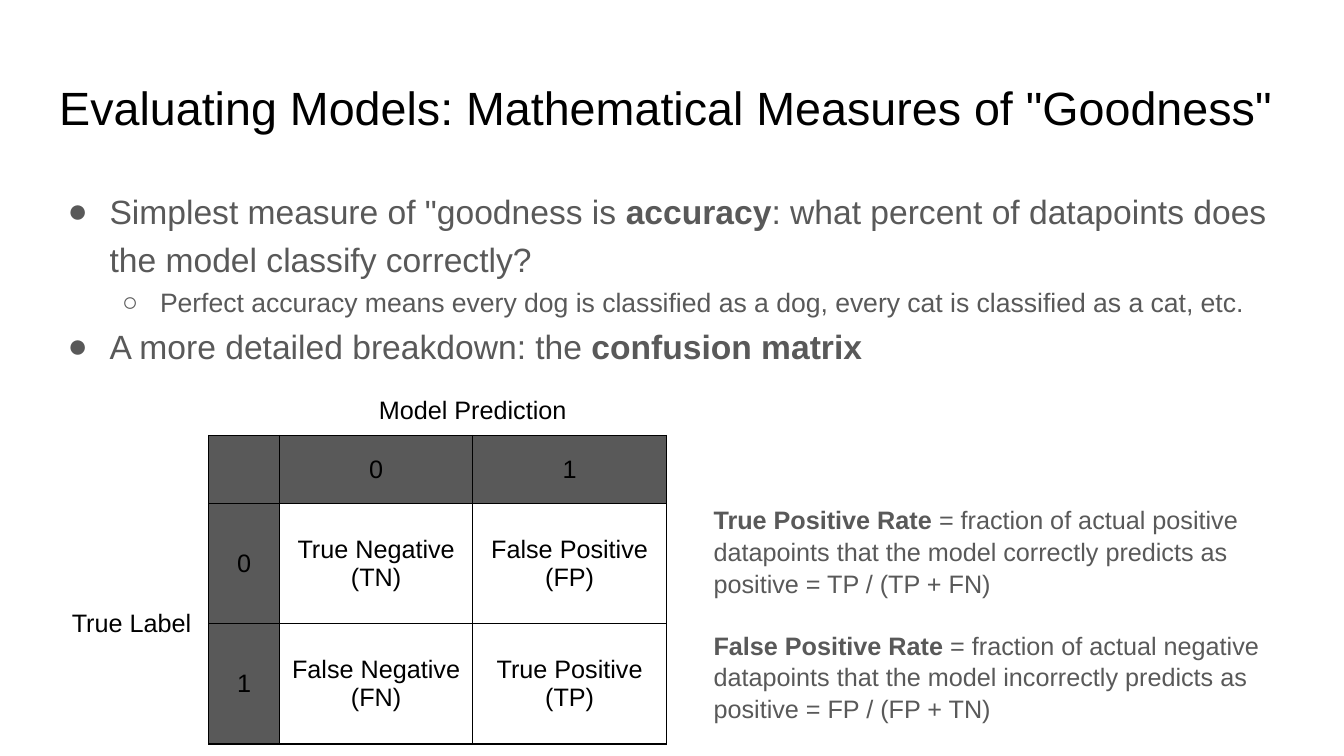
import pptx
import pptx.util
import pptx.dml.color
import pptx.enum.text
import pptx.oxml
import pptx.oxml.ns

Pt = pptx.util.Pt
RGBColor = pptx.dml.color.RGBColor
CENTER = pptx.enum.text.PP_ALIGN.CENTER
MIDDLE = pptx.enum.text.MSO_ANCHOR.MIDDLE
TOP = pptx.enum.text.MSO_ANCHOR.TOP

BLACK = RGBColor(0x00, 0x00, 0x00)
GRAY = RGBColor(0x59, 0x59, 0x59)
FONT = "Arial"

# Runs are (text, bold) pairs
TITLE = [("Evaluating Models: Mathematical Measures of \"Goodness\"", False)]
POINTS = [
    (0, [("Simplest measure of \"goodness is ", False), ("accuracy", True),
         (": what percent of datapoints does the model classify correctly?", False)]),
    (1, [("Perfect accuracy means every dog is classified as a dog, "
          "every cat is classified as a cat, etc.", False)]),
    (0, [("A more detailed breakdown: the ", False), ("confusion matrix", True)]),
]
LEVELS = [  # bullet, size, left margin, hanging indent
    ("●", 24, 36, 30),
    ("○", 19, 72, 27),
]
MATRIX = [
    ["", "0", "1"],
    ["0", "True Negative (TN)", "False Positive (FP)"],
    ["1", "False Negative (FN)", "True Positive (TP)"],
]
COLUMN_WIDTHS = [50.4, 138.2, 138.2]
ROW_HEIGHTS = [48.5, 86, 86]
AXIS_LABELS = [
    ("Model Prediction", (229.7, 278, 216, 29)),
    ("True Label", (42.5, 430, 103, 29)),
]
RATES = [
    [("True Positive Rate", True),
     (" = fraction of actual positive datapoints that the model correctly "
      "predicts as positive = TP / (TP + FN)", False)],
    [("False Positive Rate", True),
     (" = fraction of actual negative datapoints that the model incorrectly "
      "predicts as positive = FP / (FP + TN)", False)],
]


def add_runs(paragraph, runs, size, color):
    for text, bold in runs:
        run = paragraph.add_run()
        run.text = text
        run.font.name = FONT
        run.font.size = Pt(size)
        run.font.bold = bold
        run.font.color.rgb = color


def set_margins(frame, margin):
    frame.margin_left = frame.margin_right = Pt(margin)
    frame.margin_top = frame.margin_bottom = Pt(margin)


def add_frame(slide, box, margin):
    frame = slide.shapes.add_textbox(*map(Pt, box)).text_frame
    frame.word_wrap = True
    set_margins(frame, margin)
    return frame


def paragraphs(frame, count):
    return [frame.paragraphs[0]] + [frame.add_paragraph() for _ in range(count - 1)]


def add_bullet(paragraph, bullet, left, hanging):
    properties = paragraph._p.get_or_add_pPr()
    properties.set("marL", str(Pt(left)))
    properties.set("indent", str(-Pt(hanging)))
    ns = pptx.oxml.ns.nsdecls("a")
    for xml in (f'<a:buClr {ns}><a:srgbClr val="{GRAY}"/></a:buClr>',
                f'<a:buFont {ns} typeface="{FONT}"/>',
                f'<a:buChar {ns} char="{bullet}"/>'):
        properties.append(pptx.oxml.parse_xml(xml))


def add_borders(cell):
    properties = cell._tc.get_or_add_tcPr()
    ns = pptx.oxml.ns.nsdecls("a")
    for position, side in enumerate(("lnL", "lnR", "lnT", "lnB")):
        properties.insert(position, pptx.oxml.parse_xml(
            f'<a:{side} {ns} w="{Pt(1)}"><a:solidFill><a:srgbClr val="{BLACK}"/>'
            f'</a:solidFill></a:{side}>'))


def add_title(slide):
    title = slide.shapes.title
    title.left, title.top, title.width, title.height = map(Pt, (32.7, 46.7, 894.5, 60))
    frame = title.text_frame
    frame.word_wrap = True
    frame.auto_size = pptx.enum.text.MSO_AUTO_SIZE.NONE
    frame.vertical_anchor = TOP
    set_margins(frame, 9.6)
    frame.paragraphs[0].alignment = pptx.enum.text.PP_ALIGN.LEFT
    add_runs(frame.paragraphs[0], TITLE, 33.3, BLACK)


def add_points(slide):
    frame = add_frame(slide, (32.7, 121, 894.5, 358.8), 9.6)
    for paragraph, (level, runs) in zip(paragraphs(frame, len(POINTS)), POINTS):
        bullet, size, left, hanging = LEVELS[level]
        paragraph.level = level
        add_bullet(paragraph, bullet, left, hanging)
        paragraph.line_spacing = 1.2
        add_runs(paragraph, runs, size, GRAY)


def add_matrix(slide):
    frame = slide.shapes.add_table(
        len(MATRIX), len(MATRIX[0]), Pt(149.2), Pt(311),
        Pt(sum(COLUMN_WIDTHS)), Pt(sum(ROW_HEIGHTS)))
    table = frame.table
    table.horz_banding = False
    for column, width in zip(table.columns, COLUMN_WIDTHS):
        column.width = Pt(width)
    for row, height in zip(table.rows, ROW_HEIGHTS):
        row.height = Pt(height)
    for r, texts in enumerate(MATRIX):
        for c, text in enumerate(texts):
            cell = table.cell(r, c)
            cell.vertical_anchor = MIDDLE
            if r == 0 or c == 0:
                cell.fill.solid()
                cell.fill.fore_color.rgb = GRAY
            else:
                cell.fill.background()
            add_borders(cell)
            if text:
                paragraph = cell.text_frame.paragraphs[0]
                paragraph.alignment = CENTER
                add_runs(paragraph, [(text, False)], 18, BLACK)


def add_axis_labels(slide):
    for text, box in AXIS_LABELS:
        paragraph = add_frame(slide, box, 3.6).paragraphs[0]
        paragraph.alignment = CENTER
        add_runs(paragraph, [(text, False)], 18, BLACK)


def add_rates(slide):
    frame = add_frame(slide, (502.6, 355.7, 447, 160), 3.6)
    frame.margin_left = frame.margin_right = Pt(7.2)
    for index, (paragraph, runs) in enumerate(zip(paragraphs(frame, len(RATES)), RATES)):
        paragraph.line_spacing = 1.05
        if index:
            paragraph.space_before = Pt(21.7)
        add_runs(paragraph, runs, 18, GRAY)


def main():
    deck = pptx.Presentation()
    deck.slide_width, deck.slide_height = Pt(960), Pt(540)
    slide = deck.slides.add_slide(deck.slide_layouts[5])
    add_title(slide)
    add_points(slide)
    add_matrix(slide)
    add_axis_labels(slide)
    add_rates(slide)
    deck.save("out.pptx")


if __name__ == "__main__":
    main()
